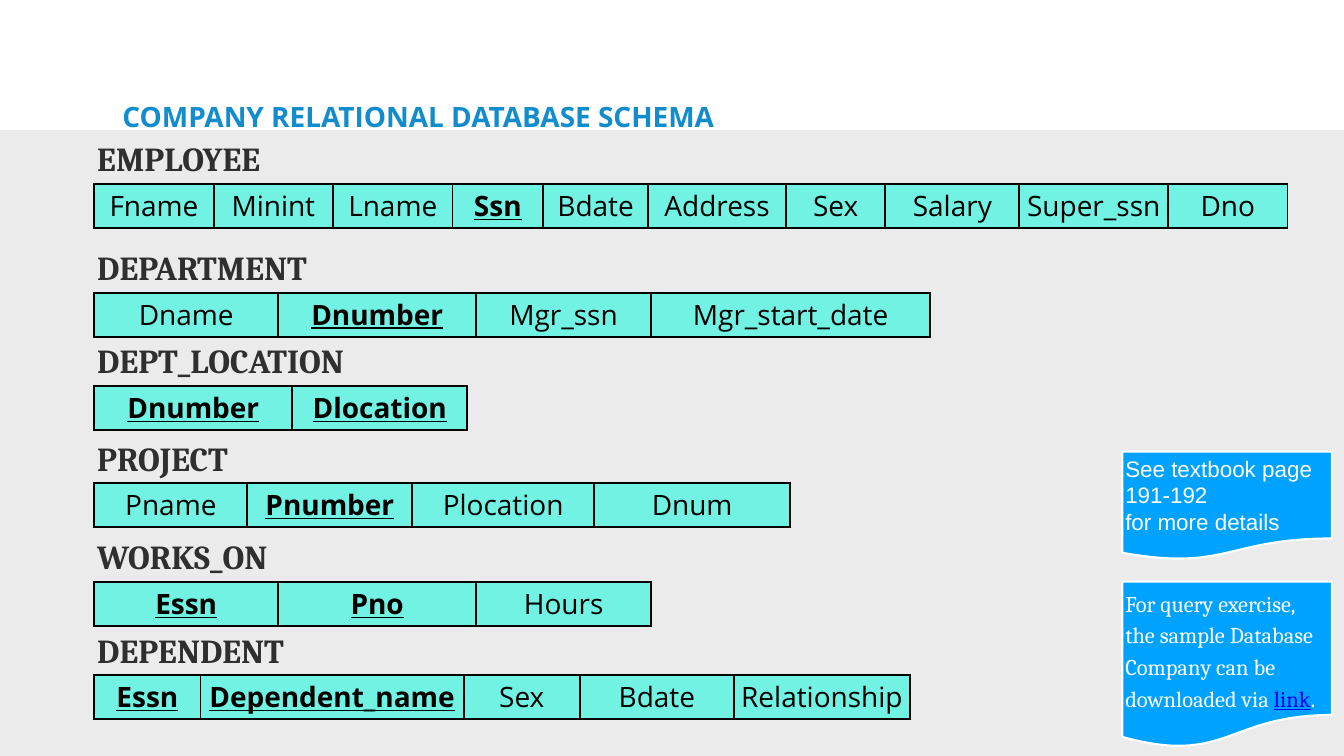
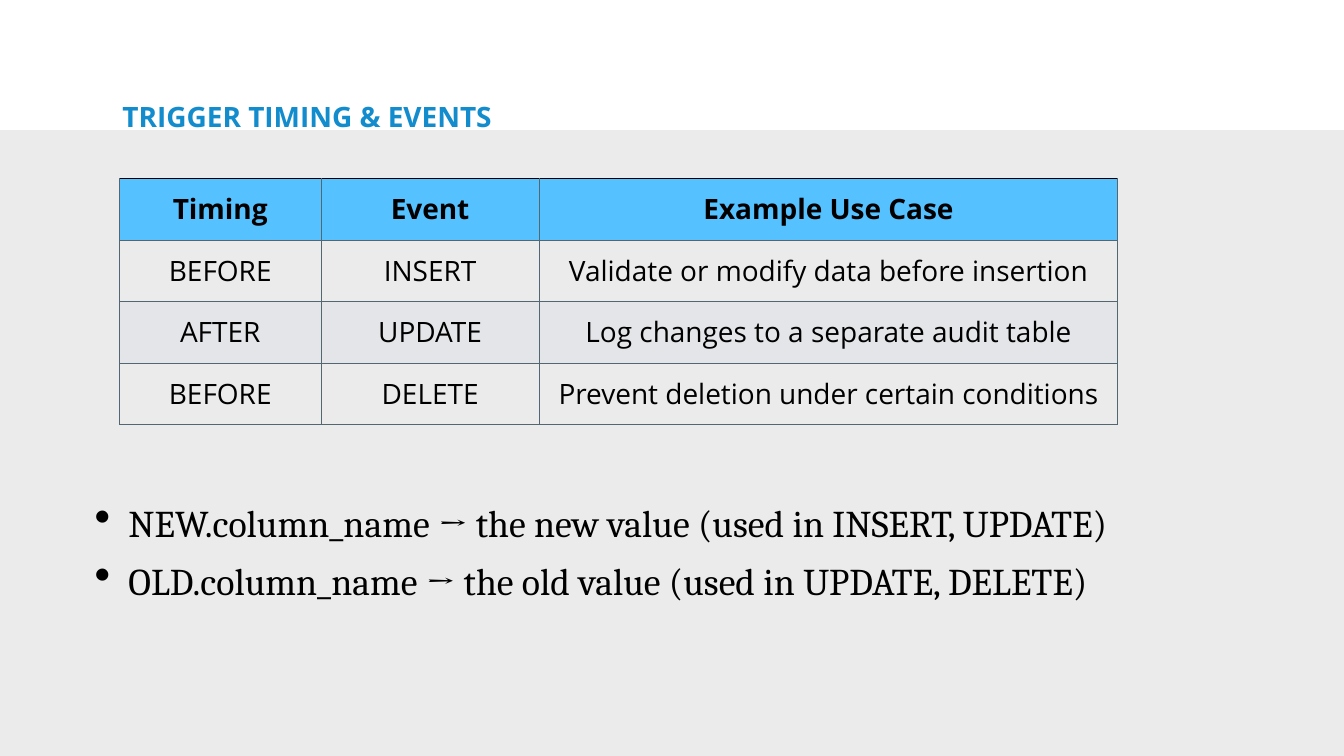
from lxml import etree
from pptx import Presentation
from pptx.dml.color import RGBColor
from pptx.enum.shapes import MSO_SHAPE
from pptx.enum.text import MSO_ANCHOR, PP_ALIGN
from pptx.oxml.ns import qn
from pptx.util import Inches, Pt

SLIDE_WIDTH, SLIDE_HEIGHT = 26.67, 15
BAND_TOP = 2.58
SANS, SERIF, NOTE_FONT = "Open Sans", "Cambria", "Arial"
WHITE, BLACK = "FFFFFF", "000000"
BAND, TITLE, LABEL = "EBEBEB", "128CCD", "2F2F2F"
ATTRIBUTE, NOTE, LINK = "72F2E3", "00A2FF", "0000FF"
HEADER, STRIPE, GRID = "56C1FF", "E3E5E8", "536773"

# Relation name, top of its row, and (attribute, column width); * marks a key
RELATIONS = [
    ("EMPLOYEE", 3.65, [
        ("Fname", 2.37), ("Minint", 2.37), ("Lname", 2.37), ("*Ssn", 1.8),
        ("Bdate", 2.08), ("Address", 2.74), ("Sex", 1.97), ("Salary", 2.66),
        ("Super_ssn", 2.95), ("Dno", 2.37)]),
    ("DEPARTMENT", 5.81, [
        ("Dname", 3.65), ("*Dnumber", 3.93), ("Mgr_ssn", 3.47),
        ("Mgr_start_date", 5.54)]),
    ("DEPT_LOCATION", 7.66, [("*Dnumber", 3.93), ("*Dlocation", 3.47)]),
    ("PROJECT", 9.59, [
        ("Pname", 3.04), ("*Pnumber", 3.27), ("Plocation", 3.61),
        ("Dnum", 3.89)]),
    ("WORKS_ON", 11.55, [("*Essn", 3.65), ("*Pno", 3.93), ("Hours", 3.47)]),
    ("DEPENDENT", 13.4, [
        ("*Essn", 2.11), ("*Dependent_name", 5.22), ("Sex", 2.31),
        ("Bdate", 3.05), ("Relationship", 3.5)]),
]

TRIGGERS = [
    ("Timing", "Event", "Example Use Case"),
    ("BEFORE", "INSERT", "Validate or modify data before insertion"),
    ("AFTER", "UPDATE", "Log changes to a separate audit table"),
    ("BEFORE", "DELETE", "Prevent deletion under certain conditions"),
]

ROW_ALIASES = [
    "NEW.column_name → the new value (used in INSERT, UPDATE)",
    "OLD.column_name → the old value (used in UPDATE, DELETE)",
]


def rgb(color):
    return RGBColor.from_string(color)


def inches(*lengths):
    return [Inches(length) for length in lengths]


class Deck:
    def __init__(self):
        self.prs = Presentation()
        self.prs.slide_width, self.prs.slide_height = inches(
            SLIDE_WIDTH, SLIDE_HEIGHT)
        self.slide = None

    def start_slide(self, title):
        """Open a slide with the shared grey band and title."""
        self.slide = self.prs.slides.add_slide(self.prs.slide_layouts[6])
        self.shape(MSO_SHAPE.RECTANGLE, 0, BAND_TOP, SLIDE_WIDTH,
                   SLIDE_HEIGHT - BAND_TOP, BAND)
        self.text([title], 2.37, 2.05, 19.05, 0.56, 40, SANS, TITLE,
                  bold=True, spacing=0.8)

    def style(self, font, size, name, color, bold=False, underline=False):
        font.size, font.name = Pt(size), name
        font.bold, font.underline = bold, underline
        font.color.rgb = rgb(color)

    def shape(self, kind, left, top, width, height, fill, line=None):
        shape = self.slide.shapes.add_shape(
            kind, *inches(left, top, width, height))
        shape.shadow.inherit = False
        shape.fill.solid()
        shape.fill.fore_color.rgb = rgb(fill)
        if line:
            shape.line.color.rgb = rgb(line)
            shape.line.width = Pt(3)
        else:
            shape.line.fill.background()
        return shape

    def inset(self, frame, margin=0.06):
        frame.word_wrap = True
        frame.margin_left = frame.margin_right = Inches(margin)
        frame.margin_top = frame.margin_bottom = Inches(margin)

    def text(self, lines, left, top, width, height, size, name, color,
             bold=False, spacing=None):
        frame = self.slide.shapes.add_textbox(
            *inches(left, top, width, height)).text_frame
        self.inset(frame)
        self.fill_lines(frame, lines, size, name, color, bold, spacing)

    def fill_lines(self, frame, lines, size, name, color, bold=False,
                   spacing=None):
        for index, line in enumerate(lines):
            paragraph = frame.paragraphs[0] if index == 0 else frame.add_paragraph()
            paragraph.text = line
            paragraph.alignment = PP_ALIGN.LEFT
            if spacing:
                paragraph.line_spacing = spacing
            self.style(paragraph.font, size, name, color, bold)

    def bullets(self, lines, left, top, width, height):
        frame = self.slide.shapes.add_textbox(
            *inches(left, top, width, height)).text_frame
        frame.word_wrap = True
        for index, line in enumerate(lines):
            paragraph = frame.paragraphs[0] if index == 0 else frame.add_paragraph()
            paragraph.text = line
            properties = paragraph._p.get_or_add_pPr()
            properties.set("marL", str(Inches(0.67)))
            properties.set("indent", str(Inches(-0.67)))
            etree.SubElement(properties, qn("a:buSzPct"), val="123000")
            etree.SubElement(properties, qn("a:buChar"), char="•")
            if index:
                paragraph.space_before = Pt(18)
            self.style(paragraph.font, 54, SERIF, BLACK)

    def note(self, top, height):
        """Add a blue document-shaped note and return its text frame."""
        frame = self.shape(MSO_SHAPE.FLOWCHART_DOCUMENT, 22.27, top, 4.16,
                           height, NOTE, WHITE).text_frame
        self.inset(frame)
        frame.vertical_anchor = MSO_ANCHOR.MIDDLE
        return frame

    def table(self, left, top, widths, row_height, row_count):
        frame = self.slide.shapes.add_table(
            row_count, len(widths),
            *inches(left, top, sum(widths), row_height * row_count))
        table = frame.table
        table.first_row = table.horz_banding = False
        for column, width in zip(table.columns, widths):
            column.width = Inches(width)
        for row in table.rows:
            row.height = Inches(row_height)
        return table

    def cell(self, cell, text, fill, line, line_width, key=False, bold=False,
             anchor=MSO_ANCHOR.TOP, top_line=None):
        properties = cell._tc.get_or_add_tcPr()
        for side in "LRTB":
            border = etree.SubElement(properties, qn(f"a:ln{side}"),
                                      w=str(Pt(line_width)))
            solid = etree.SubElement(border, qn("a:solidFill"))
            color = top_line if side == "T" and top_line else line
            etree.SubElement(solid, qn("a:srgbClr"), val=color)
        if fill:
            cell.fill.solid()
            cell.fill.fore_color.rgb = rgb(fill)
        else:
            cell.fill.background()
        cell.vertical_anchor = anchor
        paragraph = cell.text_frame.paragraphs[0]
        paragraph.text = text
        paragraph.alignment = PP_ALIGN.CENTER
        self.style(paragraph.font, 40, SANS, BLACK, bold or key, key)

    def relation(self, name, top, attributes):
        """Add a relation name above its row of attributes."""
        self.text([name], 1.87, top - 0.88, 5.4, 0.87, 48, SERIF, LABEL,
                  bold=True, spacing=0.9)
        schema = self.table(1.87, top, [width for _, width in attributes], 0.87, 1)
        for column, (attribute, _) in enumerate(attributes):
            self.cell(schema.cell(0, column), attribute.lstrip("*"), ATTRIBUTE,
                      BLACK, 3, key=attribute.startswith("*"))


def build_schema(deck):
    deck.start_slide("COMPANY RELATIONAL DATABASE SCHEMA")
    for relation in RELATIONS:
        deck.relation(*relation)

    # Notes on the right
    textbook = deck.note(8.96, 2.15)
    deck.fill_lines(textbook,
                    ["See textbook page 191-192", "for more details"],
                    32, NOTE_FONT, WHITE)

    download = deck.note(11.54, 3.3).paragraphs[0]
    download.alignment = PP_ALIGN.LEFT
    download.line_spacing = 1.18
    for words, color, underline in [
            ("For query exercise, the sample Database Company can be "
             "downloaded via ", WHITE, False),
            ("link", LINK, True), (".", WHITE, False)]:
        run = download.add_run()
        run.text = words
        deck.style(run.font, 32, SERIF, color, underline=underline)


def build_triggers(deck):
    deck.start_slide("TRIGGER TIMING & EVENTS")

    # Timing table
    fills = [HEADER, None, STRIPE, None]
    timing = deck.table(2.37, 3.54, [4, 4.33, 11.48], 1.22, len(TRIGGERS))
    for row, (entries, fill) in enumerate(zip(TRIGGERS, fills)):
        for column, entry in enumerate(entries):
            deck.cell(timing.cell(row, column), entry, fill, GRID, 1,
                      bold=row == 0, anchor=MSO_ANCHOR.MIDDLE,
                      top_line=BLACK if row == 0 else None)

    # Row aliases
    deck.bullets(ROW_ALIASES, 1.78, 9.87, 22.44, 2.42)


def main():
    deck = Deck()
    build_schema(deck)
    build_triggers(deck)
    deck.prs.save("out.pptx")


if __name__ == "__main__":
    main()
